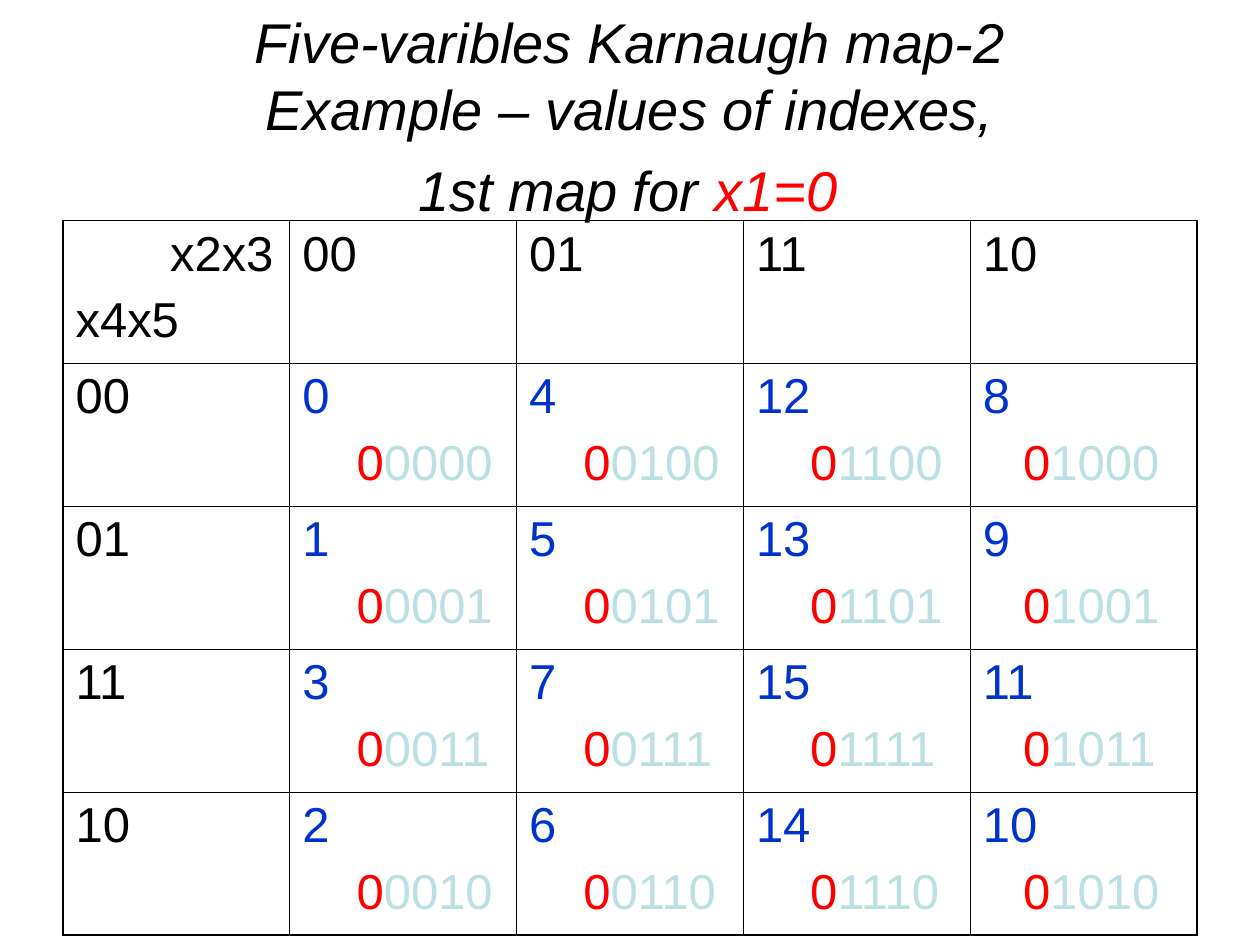
from lxml.etree import SubElement
from pptx import Presentation
from pptx.dml.color import RGBColor
from pptx.enum.text import MSO_ANCHOR, PP_ALIGN
from pptx.oxml.ns import qn
from pptx.util import Inches, Pt

BLACK, RED, BLUE, PALE = "000000", "FF0000", "0033CC", "BBE0E3"
GRAY_CODE = ["00", "01", "11", "10"]
SIZE = len(GRAY_CODE) + 1
MARGIN, TABLE_TOP = 0.5, 1.75
TABLE_WIDTH, TABLE_HEIGHT = 9, 5.67
THIN, THICK = 0.45, 1.08


def color(hex_code):
    return RGBColor.from_string(hex_code)


def write_line(para, spans, size, italic=False):
    """Fill a paragraph with (text, colour) spans."""
    para.font.name, para.font.size, para.font.italic = "Arial", Pt(size), italic
    for text, hex_code in spans:
        for number, piece in enumerate(text.split("\n")):
            if number:
                para.add_line_break()
            span = para.add_run()
            span.text = piece
            span.font.color.rgb = color(hex_code)


def add_title(page):
    box = page.shapes.add_textbox(
        Inches(MARGIN), Inches(0.3), Inches(TABLE_WIDTH), Inches(1.25))
    frame = box.text_frame
    frame.word_wrap = True
    frame.vertical_anchor = MSO_ANCHOR.MIDDLE
    para = frame.paragraphs[0]
    para.alignment = PP_ALIGN.CENTER
    write_line(para, [("Five-varibles Karnaugh map-2\n"
                       "Example – values of indexes,\n"
                       " 1st map for ", BLACK),
                      ("x1=0", RED), (" ", BLACK)], 32, True)
    para.runs[-1].font.size = Pt(40)


def set_borders(cell, row, column):
    """Draw thick lines on the table's outer edge and thin ones inside."""
    last = SIZE - 1
    outer = {"a:lnL": column == 0, "a:lnR": column == last,
             "a:lnT": row == 0, "a:lnB": row == last}
    properties = cell._tc.get_or_add_tcPr()
    for position, (tag, is_outer) in enumerate(outer.items()):
        line = SubElement(properties, qn(tag),
                          w=str(Pt(THICK if is_outer else THIN)))
        fill = SubElement(line, qn("a:solidFill"))
        SubElement(fill, qn("a:srgbClr"), val=BLACK)
        properties.insert(position, line)


def write_cell(cell, lines):
    """Write (indent in inches, spans) lines, one paragraph each."""
    cell.fill.background()
    frame = cell.text_frame
    for number, (indent, spans) in enumerate(lines):
        para = frame.add_paragraph() if number else frame.paragraphs[0]
        write_line(para, spans, 28)
        para.space_before = Pt(7)
        if indent:
            para._p.get_or_add_pPr().set("marL", str(Inches(indent)))


def cell_lines(row, column):
    if row == 0 and column == 0:
        return [(0.75, [("x2x3", BLACK)]), (0, [("x4x5", BLACK)])]
    if row == 0 or column == 0:
        return [(0, [(GRAY_CODE[max(row, column) - 1], BLACK)])]
    bits = GRAY_CODE[column - 1] + GRAY_CODE[row - 1]
    indent = 0.32 if column == SIZE - 1 else 0.43
    return [(0, [(str(int(bits, 2)), BLUE)]),
            (indent, [("0", RED), (bits, PALE)])]


def add_karnaugh_map(page):
    table = page.shapes.add_table(
        SIZE, SIZE, Inches(MARGIN), Inches(TABLE_TOP),
        Inches(TABLE_WIDTH), Inches(TABLE_HEIGHT)).table
    table.first_row = table.horz_banding = False
    for row in range(SIZE):
        for column in range(SIZE):
            cell = table.cell(row, column)
            write_cell(cell, cell_lines(row, column))
            set_borders(cell, row, column)


def main():
    deck = Presentation()
    deck.slide_width, deck.slide_height = Inches(10), Inches(7.5)
    page = deck.slides.add_slide(deck.slide_layouts[6])
    add_title(page)
    add_karnaugh_map(page)
    deck.save("out.pptx")


if __name__ == "__main__":
    main()
